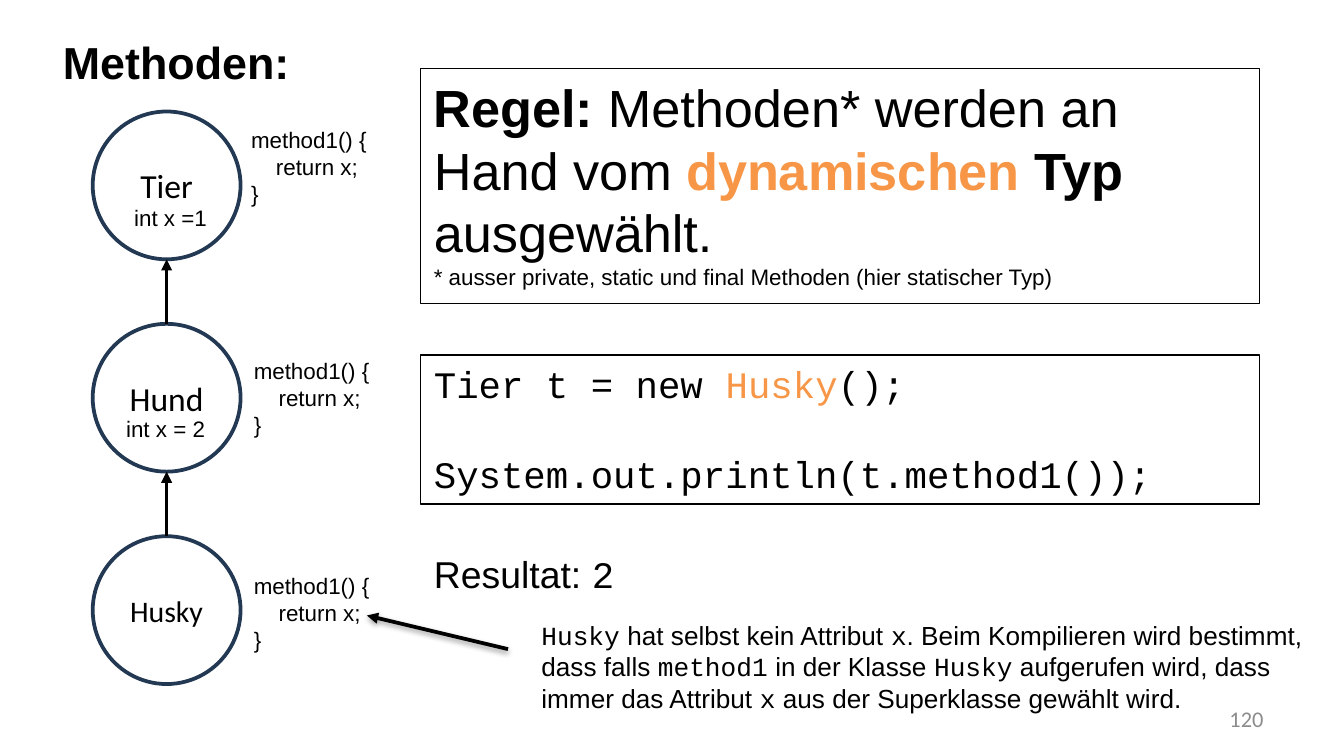
from lxml import etree
from pptx import Presentation
from pptx import util as u
from pptx.dml.color import RGBColor
from pptx.enum import shapes, text
from pptx.oxml.ns import qn

BLACK = RGBColor(0x00, 0x00, 0x00)
WHITE = RGBColor(0xFF, 0xFF, 0xFF)
NAVY = RGBColor(0x23, 0x39, 0x53)
ORANGE = RGBColor(0xF7, 0x96, 0x46)
GREY = RGBColor(0x8C, 0x8C, 0x8C)
SANS, MONO, LABEL = "Arial", "Courier New", "Calibri"

# A 16:9 page
deck = Presentation()
deck.slide_width, deck.slide_height = u.Inches(10), u.Inches(10 * 9 / 16)
page = deck.slides.add_slide(deck.slide_layouts[6])


def write(box, paragraphs, wrap=True, grow=True):
    """Fill a box; each paragraph is a list of (text, size, font, colour, bold)."""
    frame = box.text_frame
    frame.word_wrap = wrap
    if grow:
        frame.auto_size = text.MSO_AUTO_SIZE.SHAPE_TO_FIT_TEXT
        frame.vertical_anchor = text.MSO_ANCHOR.TOP
    for i, runs in enumerate(paragraphs):
        para = frame.paragraphs[0] if i == 0 else frame.add_paragraph()
        para.alignment = text.PP_ALIGN.LEFT
        for words, size, font, colour, bold in runs:
            span = para.add_run()
            span.text = words
            span.font.size = u.Pt(size)
            span.font.name = font
            span.font.color.rgb = colour
            span.font.bold = bold
    return frame


def add_arrow(x1, y1, x2, y2, width):
    """Draw a line with a triangle at its end; return it and its effect list."""
    arrow = page.shapes.add_connector(
        shapes.MSO_CONNECTOR.STRAIGHT,
        u.Inches(x1), u.Inches(y1), u.Inches(x2), u.Inches(y2))
    arrow.line.color.rgb = BLACK
    arrow.line.width = u.Pt(width)
    etree.SubElement(arrow.line._get_or_add_ln(), qn("a:tailEnd"), type="triangle")
    effects = etree.SubElement(arrow._element.spPr, qn("a:effectLst"))
    return arrow, effects


# Page number
box = page.shapes.add_textbox(u.Inches(7.17), u.Inches(5.21), u.Inches(2.33), u.Inches(0.3))
frame = write(box, [[("120", 12, LABEL, GREY, False)]], grow=False)
frame.vertical_anchor = text.MSO_ANCHOR.MIDDLE
frame.paragraphs[0].alignment = text.PP_ALIGN.RIGHT
frame.paragraphs[0].line_spacing = 0.9

# Class hierarchy: circles, inheritance arrows and method bodies
LEFT, TOP, SIZE, STEP = 0.69, 0.83, 1.1, 1.58
classes = [("Tier", 18, 1.77, 0.89), ("Hund", 18, 1.79, 2.61), ("Husky", 16, 1.79, 4.21)]
for i, (name, size, method_x, method_y) in enumerate(classes):
    y = TOP + i * STEP
    circle = page.shapes.add_shape(
        shapes.MSO_SHAPE.OVAL, u.Inches(LEFT), u.Inches(y), u.Inches(SIZE), u.Inches(SIZE))
    circle.shadow.inherit = False
    circle.fill.solid()
    circle.fill.fore_color.rgb = WHITE
    circle.line.color.rgb = NAVY
    circle.line.width = u.Pt(2)
    frame = write(circle, [[(name, size, LABEL, BLACK, False)]], grow=False)
    frame.vertical_anchor = text.MSO_ANCHOR.MIDDLE
    frame.paragraphs[0].alignment = text.PP_ALIGN.CENTER
    if i > 0:
        middle = LEFT + SIZE / 2
        arrow, effects = add_arrow(middle, y, middle, y - STEP + SIZE, 1.5)
        arrow.begin_connect(circle, 0)

    box = page.shapes.add_textbox(
        u.Inches(method_x), u.Inches(method_y), u.Inches(1.36), u.Inches(0.71))
    write(box, [[(line, 12, SANS, BLACK, False)]
                for line in ("method1() {", "    return x;", "}")])

# Heading, attributes and result
labels = [
    (0.37, 0.21, 2, 0.5, [("Methoden:", 24, SANS, BLACK, True)]),
    (0.9, 1.47, 0.75, 0.3, [("int x =1", 12, SANS, BLACK, False)]),
    (0.84, 3.04, 0.8, 0.3, [("int x = 2", 12, SANS, BLACK, False)]),
    (3.13, 4.05, 1.62, 0.44, [("Resultat: ", 20, SANS, BLACK, False),
                              ("2", 20, MONO, BLACK, False)]),
]
for x, y, width, height, runs in labels:
    box = page.shapes.add_textbox(u.Inches(x), u.Inches(y), u.Inches(width), u.Inches(height))
    write(box, [runs], wrap=False)

# Framed rule and code
rule = [
    [("Regel: ", 28, SANS, BLACK, True),
     ("Methoden* werden an Hand vom ", 28, SANS, BLACK, False),
     ("dynamischen ", 28, SANS, ORANGE, True),
     ("Typ ", 28, SANS, BLACK, True),
     ("ausgewählt.", 28, SANS, BLACK, False)],
    [("* ausser private, static und final Methoden (hier statischer Typ)",
      12, SANS, BLACK, False)],
]
code = [
    [("Tier t = new ", 20, MONO, BLACK, False),
     ("Husky", 20, MONO, ORANGE, False),
     ("();", 20, MONO, BLACK, False)],
    [("System.out.println(t.method1());", 20, MONO, BLACK, False)],
]
for y, height, paragraphs, gap in [(0.51, 1.75, rule, 0), (2.64, 1.11, code, 24)]:
    panel = page.shapes.add_shape(
        shapes.MSO_SHAPE.RECTANGLE, u.Inches(3.13), u.Inches(y), u.Inches(6.24), u.Inches(height))
    panel.shadow.inherit = False
    panel.fill.background()
    panel.line.color.rgb = BLACK
    panel.line.width = u.Pt(0.75)
    frame = write(panel, paragraphs)
    frame.paragraphs[1].space_before = u.Pt(gap)

# Explanation with a shadowed arrow to Husky's method
arrow, effects = add_arrow(3.78, 4.83, 2.73, 4.58, 2)
shadow = etree.SubElement(
    effects, qn("a:outerShdw"), blurRad=str(u.Pt(3.1)), dist=str(u.Pt(1.6)),
    dir="5400000", rotWithShape="0")
shade = etree.SubElement(shadow, qn("a:srgbClr"), val=str(BLACK))
etree.SubElement(shade, qn("a:alpha"), val="38000")

explanation = [
    ("Husky", MONO), (" hat selbst kein Attribut ", SANS), ("x", MONO),
    (". Beim Kompilieren wird bestimmt, dass falls ", SANS), ("method1", MONO),
    (" in der Klasse ", SANS), ("Husky", MONO),
    (" aufgerufen wird, dass immer das Attribut ", SANS), ("x", MONO),
    (" aus der Superklasse gewählt wird.", SANS),
]
box = page.shapes.add_textbox(u.Inches(3.93), u.Inches(4.56), u.Inches(5.91), u.Inches(0.81))
write(box, [[(words, 14, font, BLACK, False) for words, font in explanation]])

deck.save("out.pptx")
